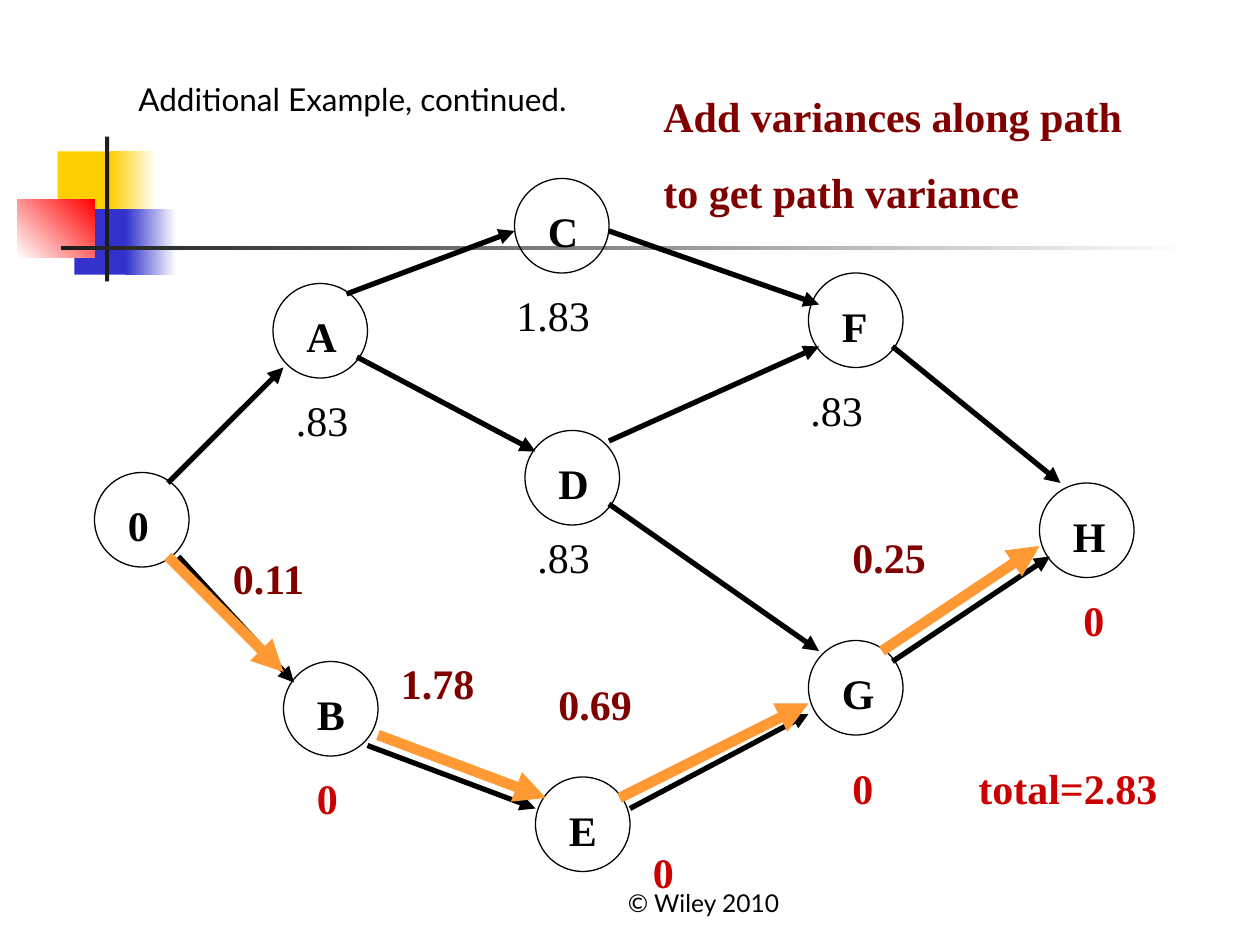
from lxml import etree
from pptx import Presentation
from pptx.dml.color import RGBColor
from pptx.enum.shapes import MSO_CONNECTOR, MSO_SHAPE
from pptx.enum.text import MSO_ANCHOR, MSO_AUTO_SIZE, PP_ALIGN
from pptx.oxml.ns import qn
from pptx.util import Pt

STRAIGHT = MSO_CONNECTOR.STRAIGHT
RECTANGLE = MSO_SHAPE.RECTANGLE
OVAL = MSO_SHAPE.OVAL
BOTTOM = MSO_ANCHOR.BOTTOM
TOP = MSO_ANCHOR.TOP
GROW = MSO_AUTO_SIZE.SHAPE_TO_FIT_TEXT
FIXED = MSO_AUTO_SIZE.NONE
LEFT = PP_ALIGN.LEFT
CENTER = PP_ALIGN.CENTER

BLACK = RGBColor(0x00, 0x00, 0x00)
WHITE = RGBColor(0xFF, 0xFF, 0xFF)
CHARCOAL = RGBColor(0x1C, 0x1C, 0x1C)
YELLOW = RGBColor(0xFF, 0xCF, 0x01)
BLUE = RGBColor(0x33, 0x33, 0xCC)
RED = RGBColor(0xFF, 0x00, 0x00)
ORANGE = RGBColor(0xFF, 0x99, 0x33)
MAROON = RGBColor(0x80, 0x00, 0x00)
CRIMSON = RGBColor(0xCC, 0x00, 0x00)

SERIF = "Times New Roman"
SANS = "Lato"
NODE_SIZE = 54

NODES = [
    ("A", 102, 60), ("B", 108, 276), ("0", 0, 168),
    ("C", 240, 0), ("D", 246, 144), ("E", 252, 342),
    ("F", 408, 54), ("G", 408, 264), ("H", 540, 174),
]
ACTIVITY_ARROWS = [
    (42, 174, 108, 108), (48, 216, 114, 288), (144, 66, 240, 30),
    (150, 102, 252, 156), (156, 324, 252, 360), (306, 360, 408, 306),
    (294, 186, 414, 270), (294, 150, 414, 96), (294, 30, 414, 72),
    (456, 96, 552, 174), (456, 276, 546, 216),
]
CRITICAL_ARROWS = [
    (42, 216, 108, 282), (162, 318, 258, 354),
    (300, 354, 408, 300), (450, 270, 540, 210),
]
SLACKS = [
    (".83", 108, 120, 48), ("1.83", 234, 60, 102),
    (".83", 402, 114, 48), (".83", 246, 198, 48),
]
CRITICAL_SLACKS = [
    ("0", 120, 336, 30), ("0", 312, 378, 60), ("0", 426, 330, 72),
    ("0", 558, 234, 78), ("total=2.83", 498, 330, 126),
]
VARIANCES = [
    ("0.11", 72, 210, 84), ("1.78", 168, 270, 84),
    ("0.69", 258, 282, 84), ("0.25", 426, 198, 84),
]


def add_text(page, lines, left, top, width, height=36, color=BLACK, bold=False,
             font=SERIF, size=24, align=LEFT, anchor=TOP, fit=GROW):
    box = page.shapes.add_textbox(Pt(left), Pt(top), Pt(width), Pt(height))
    frame = box.text_frame
    frame.word_wrap = True
    frame.auto_size = fit
    frame.vertical_anchor = anchor
    frame.text = lines
    for index, para in enumerate(frame.paragraphs):
        para.alignment = align
        if index:
            para.space_before = Pt(15)
        for span in para.runs:
            span.font.name = font
            span.font.size = Pt(size)
            span.font.bold = bold
            span.font.color.rgb = color


def add_block(page, left, top, width, height, start, end=None, angle=0):
    block = page.shapes.add_shape(RECTANGLE, Pt(left), Pt(top), Pt(width), Pt(height))
    block.shadow.inherit = False
    block.line.fill.background()
    if end is None:
        block.fill.solid()
        block.fill.fore_color.rgb = start
    else:
        block.fill.gradient()
        block.fill.gradient_angle = angle
        for stop, color in zip(block.fill.gradient_stops, (start, end)):
            stop.color.rgb = color


def add_arrow(page, left, top, ends, color, weight):
    x1, y1, x2, y2 = ends
    arrow = page.shapes.add_connector(
        STRAIGHT, Pt(left + x1), Pt(top + y1), Pt(left + x2), Pt(top + y2))
    arrow.line.color.rgb = color
    arrow.line.width = Pt(weight)
    etree.SubElement(arrow.line._get_or_add_ln(), qn("a:tailEnd"), type="triangle")
    etree.SubElement(arrow._element.spPr, qn("a:effectLst"))


def add_node(page, name, left, top):
    circle = page.shapes.add_shape(OVAL, Pt(left), Pt(top), Pt(NODE_SIZE), Pt(NODE_SIZE))
    circle.shadow.inherit = False
    circle.fill.background()
    circle.line.color.rgb = BLACK
    circle.line.width = Pt(0.75)
    add_text(page, name, left + 12, top + 12, 30, bold=True)


def add_ornament(page, left, top, width):
    add_block(page, left + 23, top + 8.5, 34.6, 37.4, YELLOW)
    add_block(page, left + 53.4, top + 8.5, 25.9, 37.4, YELLOW, WHITE)
    add_block(page, left + 32.5, top + 41.5, 33.1, 37.4, BLUE)
    add_block(page, left + 62, top + 41.5, 28.8, 37.4, BLUE, WHITE)
    add_block(page, left, top + 36, 44, 33.1, WHITE, RED, 45)
    add_block(page, left + 50, top, 2.4, 82.8, CHARCOAL)
    add_block(page, left + 24.6, top + 62.4, width - 24.6, 2.4, CHARCOAL, WHITE)


def add_network(page, left, top):
    for name, x, y in NODES:
        add_node(page, name, left + x, top + y)
    for ends in ACTIVITY_ARROWS:
        add_arrow(page, left, top, ends, BLACK, 3)
    for ends in CRITICAL_ARROWS:
        add_arrow(page, left, top, ends, ORANGE, 6)
    for labels, color, bold in ((SLACKS, BLACK, False),
                                (CRITICAL_SLACKS, CRIMSON, True),
                                (VARIANCES, MAROON, True)):
        for text, x, y, width in labels:
            add_text(page, text, left + x, top + y, width, color=color, bold=bold)


def main():
    deck = Presentation()
    deck.slide_width = Pt(720)
    deck.slide_height = Pt(540)
    page = deck.slides.add_slide(deck.slide_layouts[6])
    add_ornament(page, 10, 78, 672.6)
    add_text(page, "© Wiley 2010", 288, 492, 228, font=SANS, size=14,
             align=CENTER, anchor=BOTTOM, fit=FIXED)
    add_network(page, 54, 102)
    add_text(page, "Add variances along path\nto get path variance",
             372, 48, 306, 80, color=MAROON, bold=True)
    add_text(page, "Additional Example, continued.", 72, 42, 270, 50, font=SANS, size=18)
    deck.save("out.pptx")


if __name__ == "__main__":
    main()
